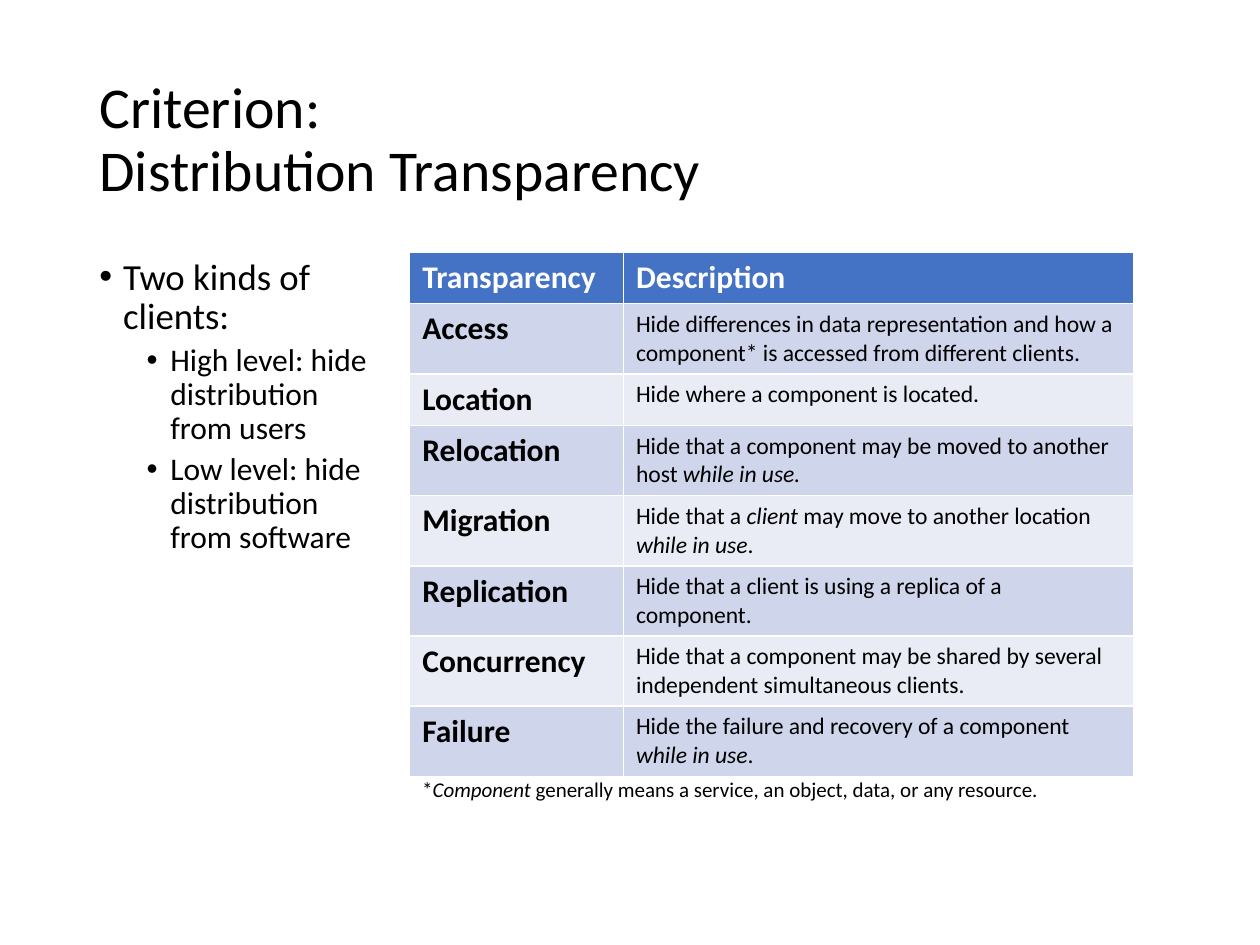
"""Build a slide on the kinds of distribution transparency."""
from lxml import etree
from pptx import Presentation
from pptx import util as u
from pptx.dml.color import RGBColor
from pptx.enum import text
from pptx.oxml import ns

BLACK = RGBColor(0x00, 0x00, 0x00)
WHITE = RGBColor(0xFF, 0xFF, 0xFF)
HEADER = RGBColor(0x44, 0x72, 0xC4)
BANDS = [RGBColor(0xCF, 0xD5, 0xEA), RGBColor(0xE9, 0xEB, 0xF5)]

ROWS = [
    ("Transparency", "Description"),
    ("Access", "Hide differences in data representation and how a component* "
               "is accessed from different clients."),
    ("Location", "Hide where a component is located."),
    ("Relocation", "Hide that a component may be moved to another host _while in use._"),
    ("Migration", "Hide that a _client_ may move to another location _while in use_."),
    ("Replication", "Hide that a client is using a replica of a component."),
    ("Concurrency", "Hide that a component may be shared by several "
                    "independent simultaneous clients."),
    ("Failure", "Hide the failure and recovery of a component _while in use_."),
]
POINTS = [
    (0, "Two kinds of clients:"),
    (1, "High level: hide distribution from users"),
    (1, "Low level: hide distribution from software"),
]
LEVELS = [(21, 7.5, 0.48), (18, 3.8, 1.43)]
HANGING = u.Cm(0.48)


def write(para, wording, size, color=BLACK, bold=False):
    """Fill a paragraph, with the parts between underscores in italics."""
    for number, part in enumerate(wording.split("_")):
        if part:
            span = para.add_run()
            span.text = part
            span.font.name = "Calibri"
            span.font.size = u.Pt(size)
            span.font.color.rgb = color
            span.font.bold = bold
            span.font.italic = number % 2 == 1


def place(shape, left, top, width, height):
    """Position a shape, in centimetres."""
    shape.left, shape.top = u.Cm(left), u.Cm(top)
    shape.width, shape.height = u.Cm(width), u.Cm(height)


deck = Presentation()
deck.slide_width, deck.slide_height = u.Cm(25.4), u.Cm(19.05)
page = deck.slides.add_slide(deck.slide_layouts[1])

title = page.shapes.title
place(title, 1.75, 1.01, 21.9, 3.68)
title.text_frame.text = "Criterion:\vDistribution Transparency"
title.text_frame.auto_size = text.MSO_AUTO_SIZE.NONE
title.text_frame.vertical_anchor = text.MSO_ANCHOR.MIDDLE
para = title.text_frame.paragraphs[0]
para.alignment = text.PP_ALIGN.LEFT
para.line_spacing = 0.9
for span in para.runs:
    span.font.name = "Calibri"
    span.font.size = u.Pt(33)
    span.font.color.rgb = BLACK

body = page.placeholders[1]
place(body, 1.75, 5.08, 6.1, 12.09)
body.text_frame.auto_size = text.MSO_AUTO_SIZE.NONE
for number, (level, wording) in enumerate(POINTS):
    size, before, indent = LEVELS[level]
    para = body.text_frame.paragraphs[0] if number == 0 else body.text_frame.add_paragraph()
    write(para, wording, size)
    para.level = level
    para.line_spacing = 0.9
    para.space_before = u.Pt(before)
    properties = para._p.get_or_add_pPr()
    properties.set("marL", str(u.Cm(indent)))
    properties.set("indent", str(-HANGING))
    etree.SubElement(properties, ns.qn("a:buFont"), typeface="Arial")
    etree.SubElement(properties, ns.qn("a:buChar"), char="•")

table = page.shapes.add_table(
    len(ROWS), 2, u.Cm(8.26), u.Cm(5.08), u.Cm(14.6), u.Cm(1.04 * len(ROWS))
).table
table.columns[0].width, table.columns[1].width = u.Cm(4.31), u.Cm(10.29)
for row, wordings in enumerate(ROWS):
    for column, wording in enumerate(wordings):
        cell = table.cell(row, column)
        cell.fill.solid()
        cell.fill.fore_color.rgb = BANDS[(row - 1) % 2] if row else HEADER
        heading = row == 0 or column == 0
        write(cell.text_frame.paragraphs[0], wording, 18 if heading else 13.5,
              BLACK if row else WHITE, heading)

box = page.shapes.add_textbox(u.Cm(8.26), u.Cm(15.52), u.Cm(14.6), u.Cm(0.76))
box.text_frame.word_wrap = True
box.text_frame.auto_size = text.MSO_AUTO_SIZE.SHAPE_TO_FIT_TEXT
write(box.text_frame.paragraphs[0],
      "*_Component_ generally means a service, an object, data, or any resource.", 12)

deck.save("out.pptx")
